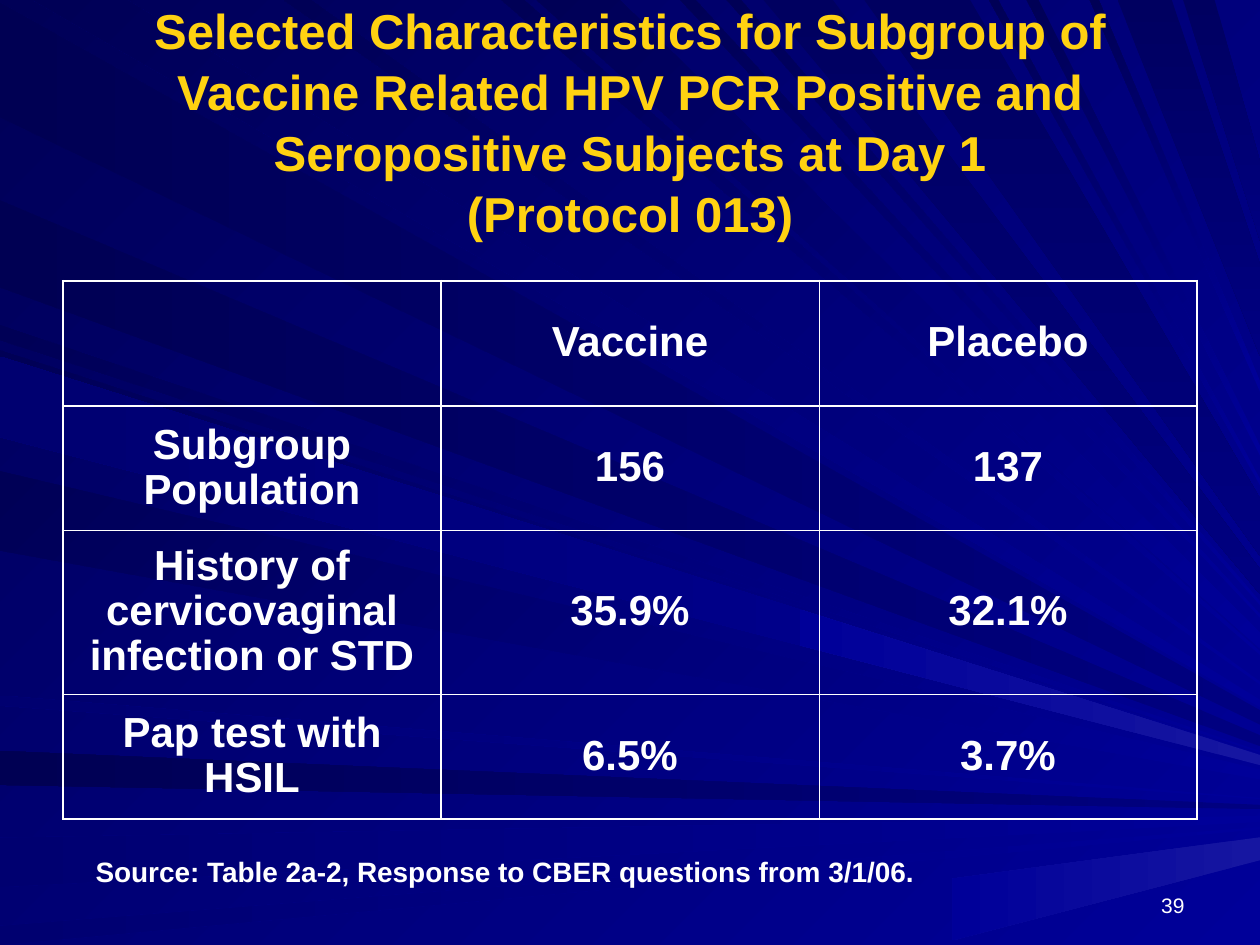
from dataclasses import dataclass

from lxml import etree
from pptx import Presentation
from pptx.dml.color import RGBColor
from pptx.enum.text import MSO_ANCHOR as ANCHOR, PP_ALIGN as ALIGN
from pptx.oxml.ns import qn
from pptx.util import Inches, Pt


@dataclass(frozen=True)
class Theme:
    font: str = "Arial"
    title: str = "FFD211"
    text: str = "FFFFFF"
    # Gradients: first colour, last colour, clockwise angle
    backdrop: tuple = ("000099", "000057", 225)
    deep: tuple = ("000080", "000053", 180)
    level: tuple = ("000099", "000070", 180)
    slanted: tuple = ("000099", "000056", 225)
    steep: tuple = ("000060", "000080", 90)
    glow: tuple = ("1616A1", "000099", 180)
    title_size: int = 28
    cell_size: int = 24
    source_size: int = 16
    number_size: int = 12
    heavy: float = 1.47
    thin: float = 0.45


THEME = Theme()
WIDTH, HEIGHT = 10, 7.5
FOCUS_X, FOCUS_Y = 11.45, 6.45  # all rays run towards this point

# Where rays start and end on the left edge (from the top) and the top edge
LEFT_RAYS = [
    (THEME.deep, [(0.02, 0.93), (5.96, 6.23), (1.59, 2.28)]),
    (THEME.slanted, [(2.58, 2.7), (2.78, 3.42), (3.74, 4.37)]),
    (THEME.level, [(5.52, 5.6), (6.65, 7.04), (7.35, 7.5), (2.83, 3.47)]),
]
TOP_RAYS = [
    (THEME.slanted, [(0.26, 1.01), (2.25, 2.47), (3.98, 4.16), (4.26, 4.92),
                     (5.4, 5.52), (5.77, 5.88)]),
    (THEME.steep, [(6.06, 6.61), (6.86, 7.7), (8.87, 9.3), (9.39, 9.64)]),
    (THEME.slanted, [(7.85, 7.92), (8.15, 8.24), (8.65, 8.72)]),
]

ROWS = [
    ("", "Vaccine", "Placebo"),
    ("Subgroup Population", "156", "137"),
    ("History of cervicovaginal infection or STD", "35.9%", "32.1%"),
    ("Pap test with HSIL", "6.5%", "3.7%"),
]
ROW_HEIGHTS = (0.99, 0.99, 1.3, 0.99)


def paint(fill, first, last, angle):
    fill.gradient()
    fill.gradient_angle = 360 - angle
    for stop, color in zip(fill.gradient_stops, (first, last)):
        stop.color.rgb = RGBColor.from_string(color)


def toward_focus(start, x):
    """Point at x on the line from start to the focus."""
    x0, y0 = start
    return x, y0 + (FOCUS_Y - y0) * (x - x0) / (FOCUS_X - x0)


def add_ray(s, gradient, a, b, near_x=None):
    """Band between two edge points, narrowing up to the right edge."""
    ends = [toward_focus(b, WIDTH), toward_focus(a, WIDTH)]
    if near_x is not None:
        a, b = toward_focus(a, near_x), toward_focus(b, near_x)
    points = [(Inches(x), Inches(y)) for x, y in (a, b, *ends)]
    builder = s.shapes.build_freeform(*points[0])
    builder.add_line_segments(points[1:], close=True)
    ray = builder.convert_to_shape()
    ray.shadow.inherit = False
    ray.line.fill.background()
    paint(ray.fill, *gradient)


def add_backdrop(s):
    paint(s.background.fill, *THEME.backdrop)
    for gradient, spans in LEFT_RAYS:
        for start, end in spans:
            add_ray(s, gradient, (0, start), (0, end))
    for gradient, spans in TOP_RAYS:
        for start, end in spans:
            add_ray(s, gradient, (start, 0), (end, 0))
    add_ray(s, THEME.glow, (0, 2.83), (0, 3.47), near_x=6.35)
    add_ray(s, THEME.glow, (3.64, HEIGHT), (7.42, HEIGHT), near_x=7.56)


def style(p, size, color=THEME.text, bold=True, align=ALIGN.LEFT, spacing=1.0):
    p.alignment = align
    p.line_spacing = spacing
    p.font.name = THEME.font
    p.font.size = Pt(size)
    p.font.bold = bold
    p.font.color.rgb = RGBColor.from_string(color)


def add_text(s, text, box, size, anchor=ANCHOR.TOP, wrap=True, **look):
    tf = s.shapes.add_textbox(*map(Inches, box)).text_frame
    tf.word_wrap = wrap
    tf.vertical_anchor = anchor
    p = tf.paragraphs[0]
    p.text = text
    style(p, size, **look)


def set_borders(cell, heavy_sides):
    tcPr = cell._tc.get_or_add_tcPr()
    for side in "LRTB":
        width = THEME.heavy if side in heavy_sides else THEME.thin
        ln = etree.SubElement(tcPr, qn(f"a:ln{side}"), w=str(Pt(width)))
        solid = etree.SubElement(ln, qn("a:solidFill"))
        etree.SubElement(solid, qn("a:srgbClr"), val=THEME.text)


def add_results_table(s, box):
    n_rows, n_cols = len(ROWS), len(ROWS[0])
    table = s.shapes.add_table(n_rows, n_cols, *map(Inches, box)).table
    table.first_row = table.horz_banding = False
    for row, height in zip(table.rows, ROW_HEIGHTS):
        row.height = Inches(height)
    for i, texts in enumerate(ROWS):
        for j, text in enumerate(texts):
            cell = table.cell(i, j)
            # Heavy rules frame the table, its header row and its label column
            heavy = {"L": j <= 1, "R": j in (0, n_cols - 1),
                     "T": i <= 1, "B": i in (0, n_rows - 1)}
            set_borders(cell, [side for side, on in heavy.items() if on])
            cell.fill.background()
            cell.vertical_anchor = ANCHOR.MIDDLE
            p = cell.text_frame.paragraphs[0]
            p.text = text
            style(p, THEME.cell_size, align=ALIGN.CENTER, spacing=0.96)


def main():
    prs = Presentation()
    prs.slide_width, prs.slide_height = Inches(WIDTH), Inches(HEIGHT)
    s = prs.slides.add_slide(prs.slide_layouts[6])
    add_backdrop(s)
    add_text(s, "Selected Characteristics for Subgroup of Vaccine Related HPV PCR "
             "Positive and Seropositive Subjects at Day 1\v(Protocol 013)",
             (0.5, 0.33, 9, 1.25), THEME.title_size, ANCHOR.MIDDLE,
             color=THEME.title, align=ALIGN.CENTER, spacing=1.04)
    add_results_table(s, (0.5, 2.23, 9, sum(ROW_HEIGHTS)))
    add_text(s, "Source: Table 2a-2, Response to CBER questions from 3/1/06.",
             (0.66, 6.73, 6.71, 0.37), THEME.source_size, wrap=False)
    add_text(s, "39", (7.17, 6.83, 2.33, 0.5), THEME.number_size, ANCHOR.BOTTOM,
             bold=False, align=ALIGN.RIGHT)
    prs.save("out.pptx")


if __name__ == "__main__":
    main()
